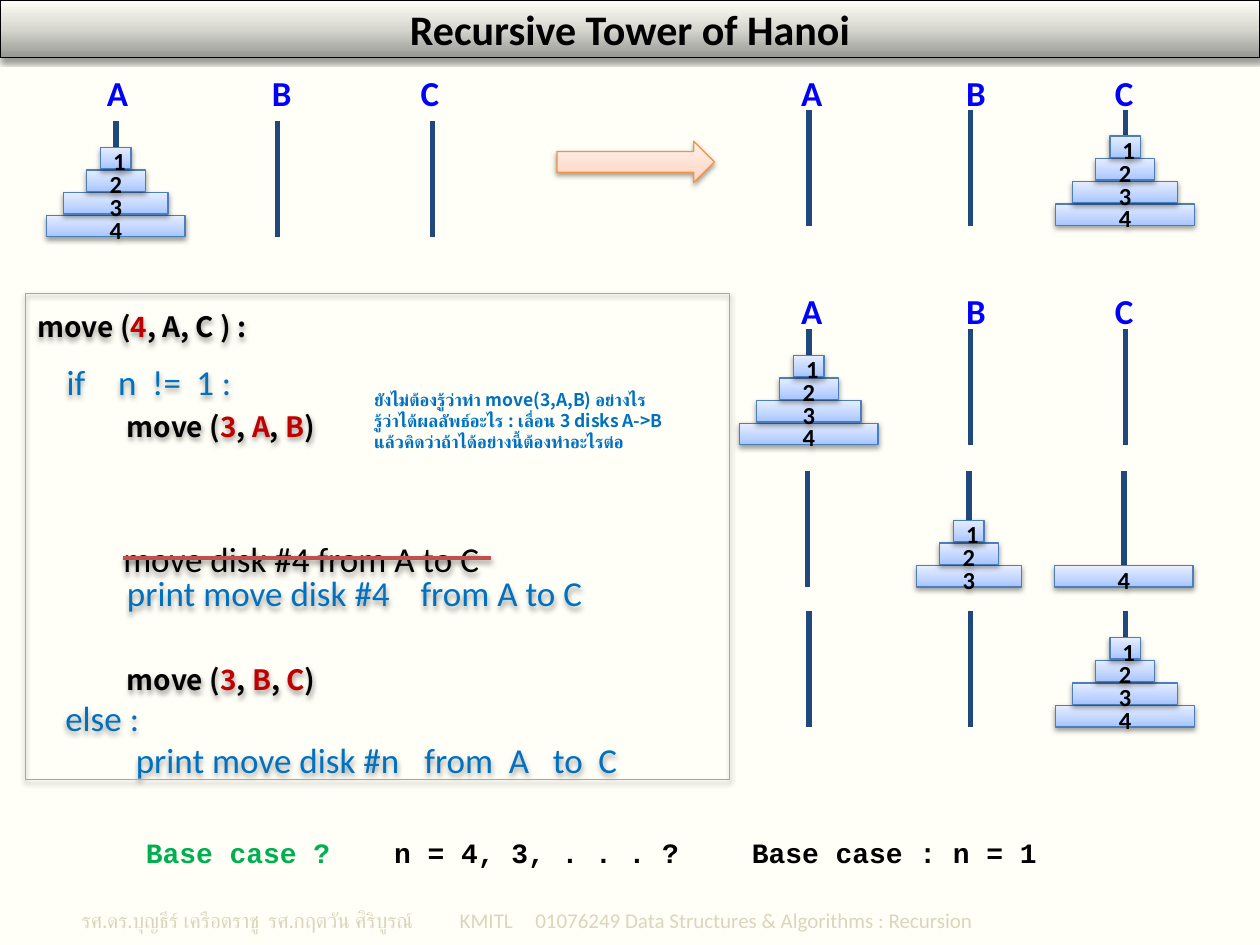
from dataclasses import dataclass

from lxml import etree
from pptx import Presentation
from pptx.dml.color import RGBColor
from pptx.enum.shapes import MSO_CONNECTOR, MSO_SHAPE
from pptx.enum.text import MSO_ANCHOR, MSO_AUTO_SIZE, PP_ALIGN
from pptx.oxml.ns import qn
from pptx.util import Inches, Pt

STRAIGHT = MSO_CONNECTOR.STRAIGHT
RECTANGLE, RIGHT_ARROW = MSO_SHAPE.RECTANGLE, MSO_SHAPE.RIGHT_ARROW
MIDDLE, CENTER = MSO_ANCHOR.MIDDLE, PP_ALIGN.CENTER
FIT_SHAPE = MSO_AUTO_SIZE.SHAPE_TO_FIT_TEXT


@dataclass(frozen=True)
class Theme:
    page: str = "FFFFF7"
    black: str = "000000"
    red: str = "C00000"
    blue: str = "0070C0"
    green: str = "00B050"
    label: str = "0000FF"
    footer: str = "DAD5BC"
    peg: str = "1F497D"
    disk_line: str = "4B7EBC"
    orange: str = "F69240"
    strike: str = "C0504D"
    title_fill: tuple = ((0, "979792"), (50, "D7D7D0"), (100, "FFFFF7"))
    disk_fill: tuple = ((0, "A4C4FF"), (35, "BFD4FF"), (100, "E6EEFF"))
    arrow_fill: tuple = ((0, "FFD2BD"), (35, "FFDED0"), (100, "FFF2ED"))
    body: str = "Calibri"
    code: str = "Noto Sans CJK JP"
    mono: str = "Courier New"
    thai: str = "Lato"
    title_size: int = 24
    big: int = 20
    medium: int = 16
    disk_size: int = 14
    small: int = 12
    note: int = 10


T = Theme()
DISK_WIDTHS = {1: 0.24, 2: 0.47, 3: 0.83, 4: 1.1}
PEG_OFFSETS = (0, 1.28, 2.51)
PEG_HEIGHT, DISK_HEIGHT, DISK_PITCH = 0.92, 0.17, 0.18
FULL, EMPTY = (4, 3, 2, 1), ()
TOWERS = [
    (0.92, 0.96, (FULL, EMPTY, EMPTY)),
    (6.42, 0.87, (EMPTY, EMPTY, FULL)),
    (6.42, 2.61, (FULL, EMPTY, EMPTY)),
    (6.41, 3.74, (EMPTY, (3, 2, 1), (4,))),
    (6.42, 4.85, (EMPTY, EMPTY, FULL)),
]
LABEL_PLACES = [(0.75, 0.52), (6.26, 0.52), (6.26, 2.25)]
LABEL_TABS = (1.31, 2.49)

CALLS = [
    (0.2, 2.41, 2.28, [("move (", T.black), ("4", T.red), (", A, C ) :", T.black)]),
    *[(0.91, top, 2.13, [("move (", T.black), ("3", T.red), (", ", T.black), (source, T.red),
                         (",", T.black), (f" {target}", T.red), (")", T.black)])
      for top, source, target in [(3.2, "A", "B"), (5.21, "B", "C")]],
]
STEPS = [
    ((0.43, 2.81, 3.25, 0.44), ["if\tn\t!=\t1 :"], T.blue, (0.41, 0.68, 1.03)),
    ((0.88, 4.22, 3.25, 0.44), ["move disk #4 from A to C"], T.black, ()),
    ((0.91, 4.49, 3.94, 0.44), ["print move disk #4\tfrom A to C"], T.blue, (2.33,)),
    ((0.42, 5.48, 4.74, 0.77), ["else :", "\tprint move disk #n\tfrom\tA\tto\tC"], T.blue,
     (0.56, 2.85, 3.52, 3.87, 4.23)),
]
NOTE = [
    "ยังไม่ต้องรู้ว่าทำ move(3,A,B) อย่างไร",
    "รู้ว่าได้ผลลัพธ์อะไร : เลื่อน 3 disks A->B",
    "แล้วคิดว่าถ้าได้อย่างนี้ต้องทำอะไรต่อ",
]
QUESTIONS = [
    (1.06, 1.97, "Base case ?", T.green),
    (3.03, 3.15, "n = 4, 3, . . . ?", T.black),
    (5.87, 2.5, "Base case : n = 1", T.black),
]
FOOTER = [("รศ.ดร.บุญธีร์ เครือตราชู\tรศ.กฤตวัน ศิริบูรณ์", T.thai),
          ("\tKMITL\t01076249 Data Structures & Algorithms : Recursion", T.body)]


def color(code):
    return RGBColor.from_string(code)


def add_xml(parent, tag, **attributes):
    return etree.SubElement(parent, qn(tag), {key: str(value) for key, value in attributes.items()})


def set_effects(item, shadow=False):
    effects = add_xml(item._element.spPr, "a:effectLst")
    if shadow:
        outer = add_xml(effects, "a:outerShdw", blurRad=Pt(3.1), dist=Pt(1.6), dir=5400000, rotWithShape=0)
        add_xml(add_xml(outer, "a:srgbClr", val=T.black), "a:alpha", val=38000)


def set_gradient(shape, stops):
    properties = shape._element.spPr
    gradient = add_xml(properties, "a:gradFill", rotWithShape=1)
    stop_list = add_xml(gradient, "a:gsLst")
    for position, code in stops:
        add_xml(add_xml(stop_list, "a:gs", pos=position * 1000), "a:srgbClr", val=code)
    add_xml(gradient, "a:lin", ang=16200000, scaled=0)
    properties.find(qn("a:prstGeom")).addnext(gradient)


def set_font(font, name=None, size=None, code=None, bold=None):
    if name:
        font.name = name
    if size:
        font.size = Pt(size)
    if code:
        font.color.rgb = color(code)
    if bold is not None:
        font.bold = bold


def add_text(page, place, lines, name, size, code=None, bold=False, tabs=(), shadow=False, wrap=True):
    box = page.shapes.add_textbox(*map(Inches, place))
    frame = box.text_frame
    frame.word_wrap, frame.auto_size = wrap, FIT_SHAPE
    for index, line in enumerate(lines):
        para = frame.add_paragraph() if index else frame.paragraphs[0]
        set_font(para.font, name, size, code, bold)
        if tabs:
            tab_list = etree.Element(qn("a:tabLst"))
            for position in tabs:
                add_xml(tab_list, "a:tab", pos=Inches(position), algn="l")
            para._p.get_or_add_pPr().insert(0, tab_list)
        for text, style in [(line, {})] if isinstance(line, str) else line:
            span = para.add_run()
            span.text = text
            set_font(span.font, **style)
    if shadow:
        set_effects(box, True)


def add_block(page, kind, place, line, stops=None, text=None, size=None, insets=None):
    shape = page.shapes.add_shape(kind, *map(Inches, place))
    if stops:
        set_gradient(shape, stops)
    else:
        shape.fill.background()
    shape.line.color.rgb, shape.line.width = color(line), Pt(0.75)
    set_effects(shape, True)
    if text:
        frame = shape.text_frame
        frame.vertical_anchor = MIDDLE
        if insets:
            frame.margin_top, frame.margin_bottom = map(Inches, insets)
        para = frame.paragraphs[0]
        para.text, para.alignment = text, CENTER
        set_font(para.font, T.body, size, T.black, True)


def add_line(page, ends, code, width, shadow=False):
    line = page.shapes.add_connector(STRAIGHT, *map(Inches, ends))
    line.line.color.rgb, line.line.width = color(code), Pt(width)
    set_effects(line, shadow)


def add_tower(page, left, top, stacks):
    centers = [left + offset for offset in PEG_OFFSETS]
    for center in centers:
        add_line(page, (center, top, center, top + PEG_HEIGHT), T.peg, 3)
    for center, stack in zip(centers, stacks):
        for level, disk in enumerate(stack):
            width = DISK_WIDTHS[disk]
            disk_top = top + PEG_HEIGHT - DISK_HEIGHT - level * DISK_PITCH
            add_block(page, RECTANGLE, (center - width / 2, disk_top, width, DISK_HEIGHT),
                      T.disk_line, T.disk_fill, str(disk), T.disk_size, (0.05, 0))


def main():
    """Build the Recursive Tower of Hanoi slide."""
    deck = Presentation()
    deck.slide_width, deck.slide_height = Inches(10), Inches(7.5)
    page = deck.slides.add_slide(deck.slide_layouts[6])
    page.background.fill.solid()
    page.background.fill.fore_color.rgb = color(T.page)

    footer = [(text, {"name": name}) for text, name in FOOTER]
    add_text(page, (0.55, 7.15, 9.45, 0.3), [footer], None, T.small, T.footer, tabs=(1.48, 3, 3.6))
    add_block(page, RECTANGLE, (0, 0, 10, 0.46), T.black, T.title_fill,
              "Recursive Tower of Hanoi", T.title_size)
    for left, top in LABEL_PLACES:
        add_text(page, (left, top, 3.17, 0.43), ["A\tB\tC"], T.body, T.big, T.label, True, LABEL_TABS)
    for tower in TOWERS:
        add_tower(page, *tower)
    add_block(page, RIGHT_ARROW, (4.42, 1.12, 1.25, 0.33), T.orange, T.arrow_fill)

    for left, top, width, spans in CALLS:
        line = [(text, {"code": code}) for text, code in spans]
        add_text(page, (left, top, width, 0.37), [line], T.code, T.medium, bold=True, shadow=True)
    for place, lines, code, tabs in STEPS:
        add_text(page, place, lines, T.body, T.big, code, tabs=tabs, shadow=True)
    add_line(page, (0.98, 4.43, 3.9, 4.43), T.strike, 2, True)
    add_block(page, RECTANGLE, (0.2, 2.33, 5.59, 3.86), T.orange)
    add_text(page, (2.87, 3.04, 2.82, 0.81), NOTE, T.code, T.note, T.blue, True, wrap=False)
    for left, width, text, code in QUESTIONS:
        add_text(page, (left, 6.58, width, 0.37), [text], T.mono, T.medium, code, True)
    deck.save("out.pptx")


if __name__ == "__main__":
    main()
